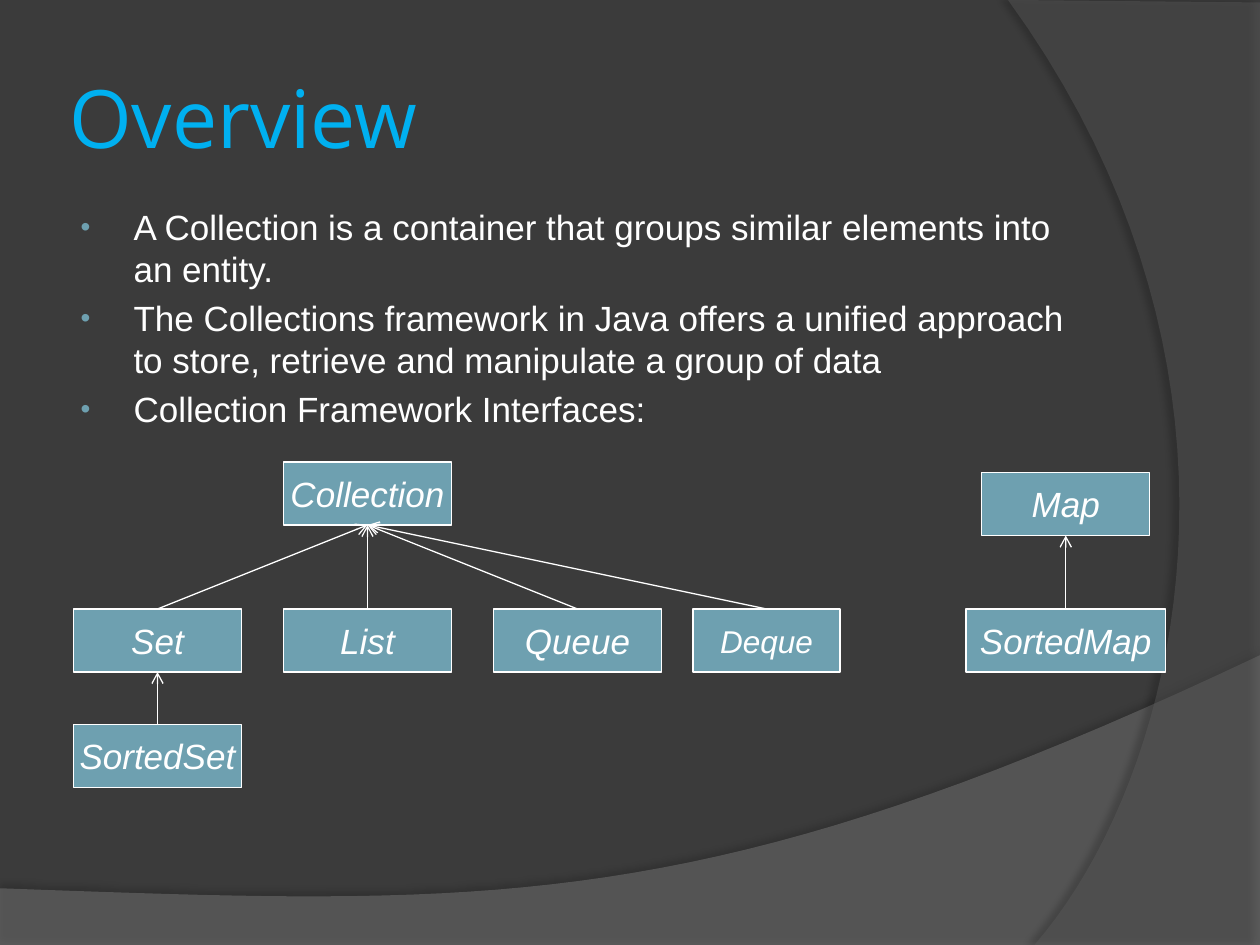
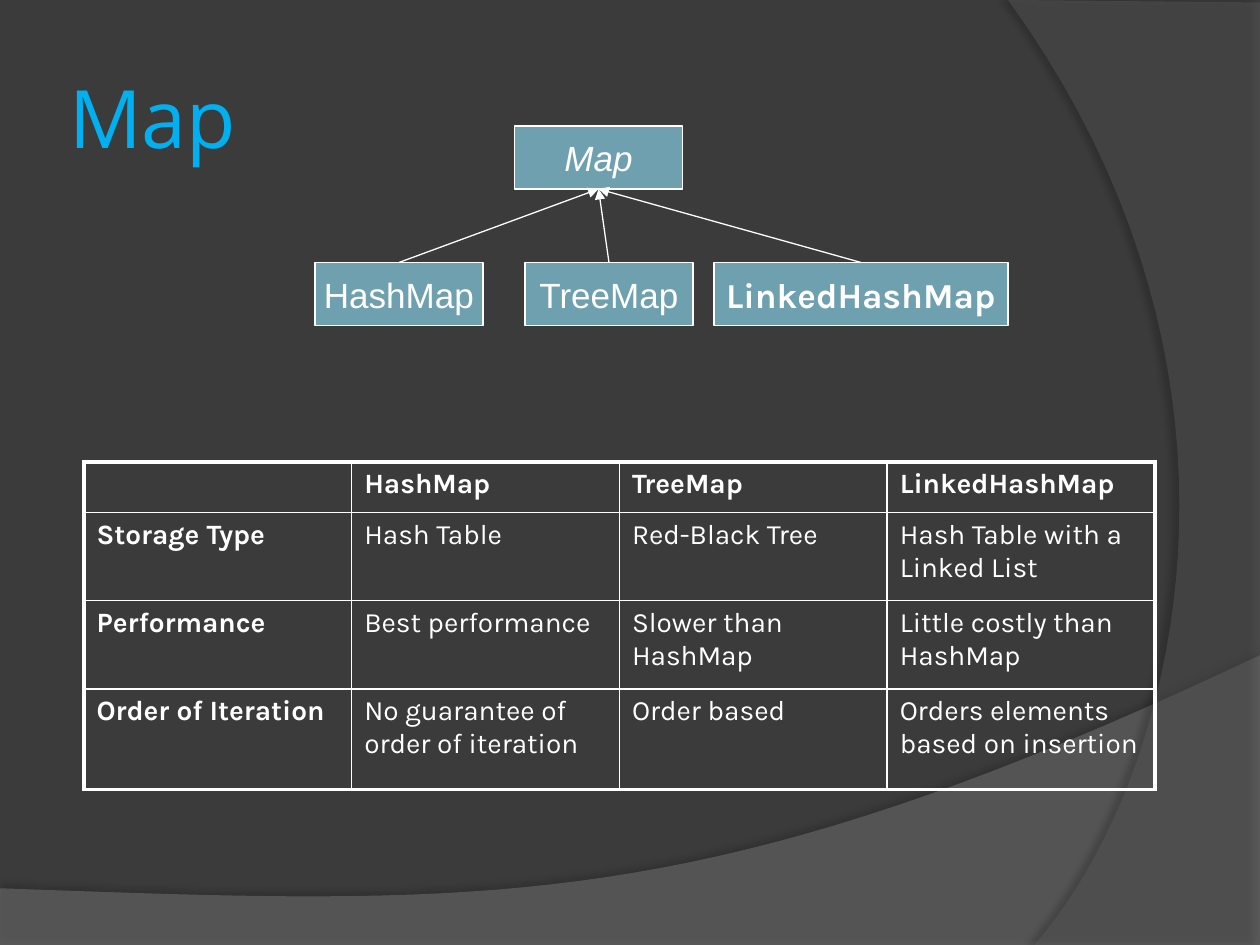
"""Build two slides on Java collections: an overview and the map classes."""
import pptx
import pptx.util
import pptx.dml.color
import pptx.enum.shapes
import pptx.enum.text
import pptx.oxml
import pptx.oxml.ns

WHITE, TEAL, BLUE, DARK = "FFFFFF", "6EA0B0", "00B0F0", "3B3B3B"
COLUMNS, ROWS = 120, 90
BOX_HEIGHT = 6
TITLE_AREA = (6, 3.6, 98, 15)
BODY_AREA = (6, 19, 98, 22)

BANDS = [
    {"fill": "7F7F7F", "alpha": 45, "shadow_alpha": 35, "distance": 3.5, "direction": 270,
     "corners": [(0, 7.51), (10, 7.51)],
     "curve": [(10, 5.2), (5.59, 7.29), (3.91, 7.19), (0, 7.05)]},
    {"fill": "5E5E5E", "alpha": 40, "shadow_alpha": 45, "distance": 4, "direction": 180,
     "corners": [(10, 0.02), (10, 7.5)],
     "curve": [(8.21, 7.5), (9.35, 6.19), (10.18, 3), (8, 0)]},
]

BULLETS = [
    "A Collection is a container that groups similar elements into an entity.",
    "The Collections framework in Java offers a unified approach to store, retrieve "
    "and manipulate a group of data",
    "Collection Framework Interfaces:",
]

ITALIC = {"italic": True}
INTERFACES = [
    ("Map", 93.5, 45, 16, ITALIC),
    ("SortedMap", 92, 58, 19, ITALIC),
    ("Collection", 27, 44, 16, ITALIC),
    ("Set", 7, 58, 16, ITALIC),
    ("List", 27, 58, 16, ITALIC),
    ("Queue", 47, 58, 16, ITALIC),
    ("SortedSet", 7, 69, 16, ITALIC),
    ("Deque", 66, 58, 14, {"italic": True, "size": 18, "line": 1.5}),
]
INTERFACE_PARENTS = {
    "SortedMap": "Map", "Set": "Collection", "List": "Collection",
    "Queue": "Collection", "Deque": "Collection", "SortedSet": "Set",
}

MAP_CLASSES = [
    ("Map", 49, 12, 16, ITALIC),
    ("HashMap", 30, 25, 16, {}),
    ("TreeMap", 50, 25, 16, {}),
    ("LinkedHashMap", 68, 25, 28, {"name": "Karla", "bold": True}),
]
MAP_PARENTS = {"HashMap": "Map", "TreeMap": "Map", "LinkedHashMap": "Map"}

TABLE_AREA = (8, 44, 102, 31.2)
TABLE_ROW_HEIGHTS = [4.8, 8.4, 8.4, 9.6]
COMPARISON = [
    ["", "HashMap", "TreeMap", "LinkedHashMap"],
    ["Storage Type", "Hash Table", "Red-Black Tree", "Hash Table with a Linked List"],
    ["Performance", "Best performance", "Slower than HashMap", "Little costly than HashMap"],
    ["Order of Iteration", "No guarantee of order of iteration", "Order based",
     "Orders elements based on insertion"],
]

deck = pptx.Presentation()
deck.slide_width = pptx.util.Inches(10)
deck.slide_height = pptx.util.Inches(7.5)
CELL = deck.slide_width / COLUMNS


def color(value):
    return pptx.dml.color.RGBColor.from_string(value)


def cells(*counts):
    return [round(count * CELL) for count in counts]


def add_xml(parent, markup):
    """Append one DrawingML element written as text."""
    head, rest = markup.split(" ", 1)
    element = pptx.oxml.parse_xml(f"{head} {pptx.oxml.ns.nsdecls('a')} {rest}")
    parent.append(element)


def style_font(font, name, size, value, bold=False, italic=False):
    font.name, font.size = name, pptx.util.Pt(size)
    font.bold, font.italic = bold, italic
    font.color.rgb = color(value)


def curve_points(curve, steps=40):
    """Sample a cubic curve at equal parameter steps."""
    for step in range(steps + 1):
        t = step / steps
        weights = ((1 - t) ** 3, 3 * t * (1 - t) ** 2, 3 * t * t * (1 - t), t ** 3)
        yield tuple(sum(w * point[axis] for w, point in zip(weights, curve)) for axis in (0, 1))


def add_band(page, band):
    outline = band["corners"] + list(curve_points(band["curve"]))
    points = [(pptx.util.Inches(x), pptx.util.Inches(y)) for x, y in outline]
    builder = page.shapes.build_freeform(*points[0])
    builder.add_line_segments(points[1:], close=True)
    shape = builder.convert_to_shape()
    shape.fill.solid()
    shape.fill.fore_color.rgb = color(band["fill"])
    shape.line.fill.background()
    shape.shadow.inherit = False
    properties = shape.element.spPr
    fill = properties.find(".//" + pptx.oxml.ns.qn("a:srgbClr"))
    add_xml(fill, f'<a:alpha val="{band["alpha"] * 1000}"/>')
    add_xml(properties.find(pptx.oxml.ns.qn("a:effectLst")),
            f'<a:outerShdw blurRad="{pptx.util.Pt(4)}" dist="{pptx.util.Pt(band["distance"])}" '
            f'dir="{band["direction"] * 60000}" algn="ctr" rotWithShape="0"><a:srgbClr val="000000">'
            f'<a:alpha val="{band["shadow_alpha"] * 1000}"/></a:srgbClr></a:outerShdw>')
    return shape


def decorate_master(page):
    """Give the master its background and both curved bands."""
    master = deck.slide_master
    master.background.fill.solid()
    master.background.fill.fore_color.rgb = color(DARK)
    for index, band in enumerate(BANDS):
        master.shapes.element.insert(2 + index, add_band(page, band).element)


def place(shape, area):
    shape.left, shape.top, shape.width, shape.height = cells(*area)


def add_page(layout_index, title):
    page = deck.slides.add_slide(deck.slide_layouts[layout_index])
    box = page.shapes.title
    place(box, TITLE_AREA)
    frame = box.text_frame
    frame.text = title
    frame.auto_size = pptx.enum.text.MSO_AUTO_SIZE.NONE
    frame.vertical_anchor = pptx.enum.text.MSO_ANCHOR.MIDDLE
    frame.margin_left = frame.margin_right = pptx.util.Inches(0.05)
    frame.margin_top = frame.margin_bottom = pptx.util.Inches(0.05)
    para = frame.paragraphs[0]
    para.alignment = pptx.enum.text.PP_ALIGN.LEFT
    style_font(para.font, "Open Sans", 46, BLUE)
    return page


def fill_body(page, items):
    body = page.placeholders[1]
    place(body, BODY_AREA)
    frame = body.text_frame
    frame.text = "\n".join(items)
    frame.auto_size = pptx.enum.text.MSO_AUTO_SIZE.NONE
    for para in frame.paragraphs:
        style_font(para.font, "Arial", 20, WHITE)
        properties = para._p.get_or_add_pPr()
        properties.set("marL", str(pptx.util.Inches(0.46)))
        properties.set("indent", str(pptx.util.Inches(-0.42)))
        bullet = ['<a:buChar char="•"/>', '<a:buFont typeface="Arial"/>',
                  '<a:buSzPct val="80000"/>',
                  f'<a:buClr ><a:srgbClr val="{TEAL}"/></a:buClr>']
        for markup in bullet:
            add_xml(properties, markup)
            properties.insert(0, properties[-1])


def add_box(page, text, left, top, width, style):
    box = page.shapes.add_shape(pptx.enum.shapes.MSO_SHAPE.RECTANGLE,
                                *cells(left, top, width, BOX_HEIGHT))
    box.shadow.inherit = False
    box.fill.solid()
    box.fill.fore_color.rgb = color(TEAL)
    box.line.color.rgb = color(WHITE)
    box.line.width = pptx.util.Pt(style.get("line", 0.75))
    frame = box.text_frame
    frame.text = text
    frame.word_wrap = False
    frame.vertical_anchor = pptx.enum.text.MSO_ANCHOR.MIDDLE
    para = frame.paragraphs[0]
    para.alignment = pptx.enum.text.PP_ALIGN.CENTER
    style_font(para.font, style.get("name", "Arial"), style.get("size", 20), WHITE,
               style.get("bold", False), style.get("italic", False))
    return box


def add_hierarchy(page, entries, parents, arrowhead):
    """Draw the boxes and an arrow from each child's top to its parent's bottom."""
    boxes = {entry[0]: add_box(page, *entry) for entry in entries}
    for child, parent in parents.items():
        arrow = page.shapes.add_connector(pptx.enum.shapes.MSO_CONNECTOR.STRAIGHT, 0, 0, 0, 0)
        arrow.begin_connect(boxes[child], 0)
        arrow.end_connect(boxes[parent], 2)
        arrow.line.color.rgb = color(WHITE)
        arrow.line.width = pptx.util.Pt(0.75)
        add_xml(arrow.line._get_or_add_ln(), f'<a:tailEnd type="{arrowhead}"/>')
        add_xml(arrow._element.spPr, "<a:effectLst />")


def add_comparison(page, rows):
    last_row, last_column = len(rows) - 1, len(rows[0]) - 1
    table = page.shapes.add_table(len(rows), len(rows[0]), *cells(*TABLE_AREA)).table
    table.first_row = table.horz_banding = False
    for row, height in zip(table.rows, TABLE_ROW_HEIGHTS):
        row.height = cells(height)[0]
    for r, texts in enumerate(rows):
        for c, text in enumerate(texts):
            cell = table.cell(r, c)
            outer = {"L": c == 0, "R": c == last_column, "T": r == 0, "B": r == last_row}
            for side, thick in outer.items():
                width = pptx.util.Pt(2.25 if thick else 1)
                add_xml(cell._tc.get_or_add_tcPr(),
                        f'<a:ln{side} w="{width}"><a:solidFill><a:srgbClr val="{WHITE}"/>'
                        f'</a:solidFill></a:ln{side}>')
            cell.fill.background()
            cell.text = text
            style_font(cell.text_frame.paragraphs[0].font, "Karla", 16, WHITE,
                       bold=r == 0 or c == 0)


overview = add_page(1, "Overview")
decorate_master(overview)
fill_body(overview, BULLETS)
add_hierarchy(overview, INTERFACES, INTERFACE_PARENTS, "arrow")

maps = add_page(5, "Map")
add_hierarchy(maps, MAP_CLASSES, MAP_PARENTS, "triangle")
add_comparison(maps, COMPARISON)

deck.save("out.pptx")
